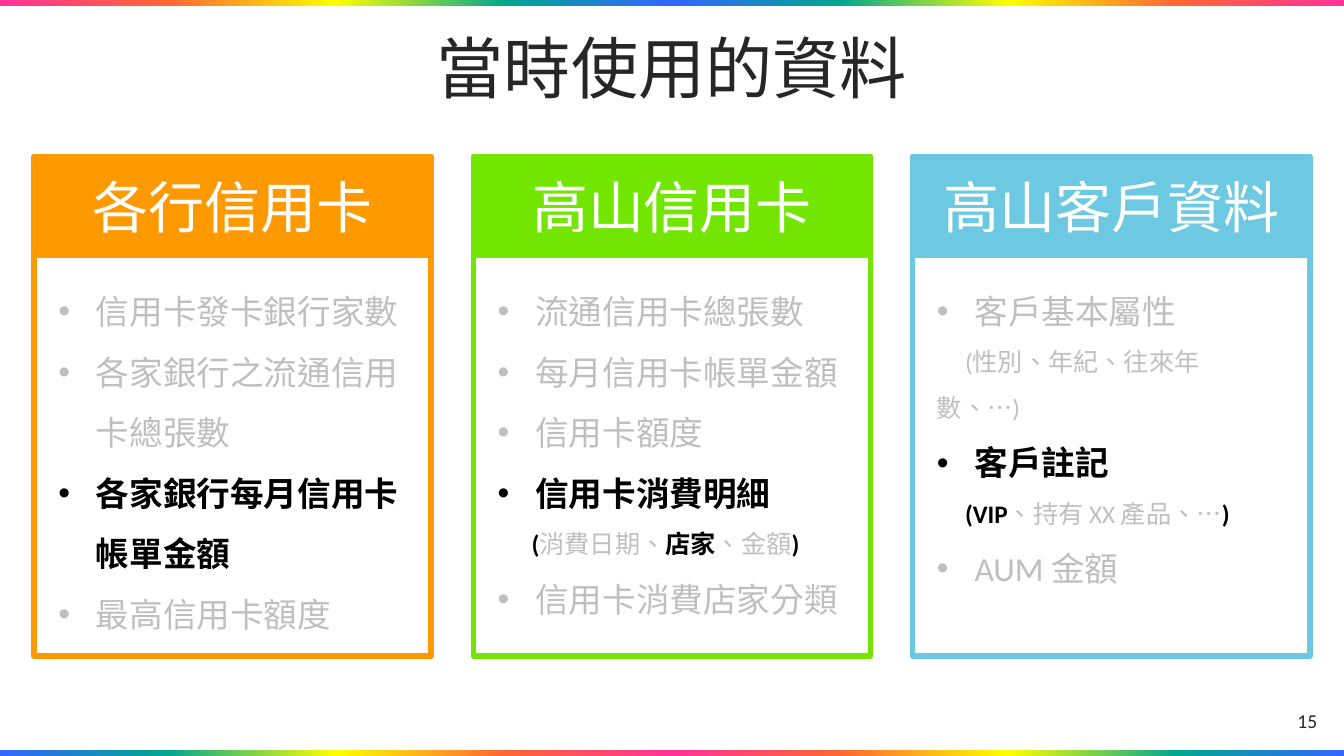
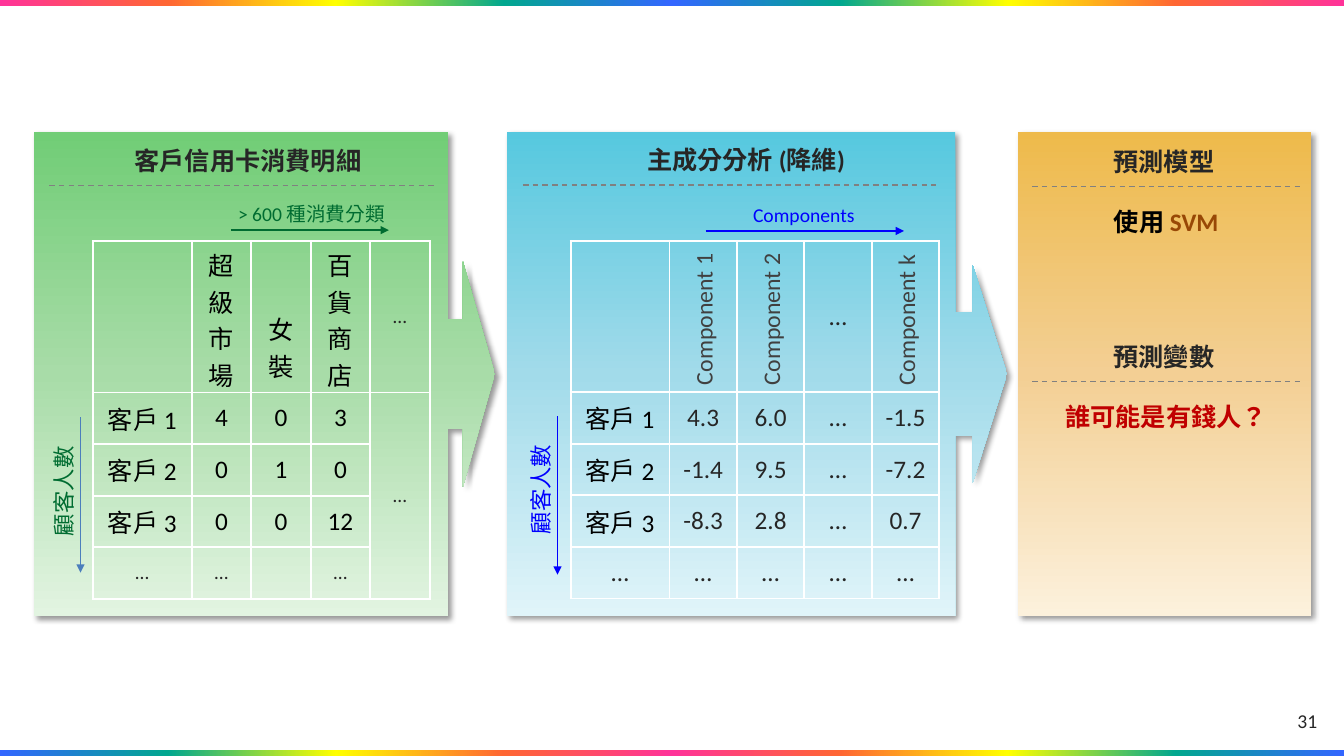
from dataclasses import dataclass
from itertools import product

from lxml import etree
from pptx import Presentation
from pptx.dml.color import RGBColor
from pptx.enum.dml import MSO_LINE
from pptx.enum.shapes import MSO_CONNECTOR, MSO_SHAPE
from pptx.enum.text import MSO_ANCHOR, MSO_AUTO_SIZE, PP_ALIGN
from pptx.oxml.ns import qn
from pptx.util import Cm, Pt

RECT, CALLOUT = MSO_SHAPE.RECTANGLE, MSO_SHAPE.RIGHT_ARROW_CALLOUT
STRAIGHT, DASH = MSO_CONNECTOR.STRAIGHT, MSO_LINE.DASH
TOP, MIDDLE, BOTTOM = MSO_ANCHOR.TOP, MSO_ANCHOR.MIDDLE, MSO_ANCHOR.BOTTOM
LEFT, CENTER = PP_ALIGN.LEFT, PP_ALIGN.CENTER
NO_AUTOFIT = MSO_AUTO_SIZE.NONE

LATIN, CJK = "Calibri", "Noto Sans CJK SC"
INK, BLACK, WHITE, MUTED = "262626", "000000", "FFFFFF", "BFBFBF"
GREEN, BLUE, RULE = "006C31", "0000FF", "808080"
RAINBOW = ("FF3399", "FF6633", "FFFF00", "01A78F", "3366FF")
WIDTH, HEIGHT, BAND = 33.87, 19.05, 0.15
LINE_PITCH = 1.8


@dataclass(frozen=True)
class Run:
    text: str
    color: str = MUTED
    bold: bool = False


@dataclass(frozen=True)
class Item:
    """A bulleted line, or a smaller note with a first-line indent."""
    runs: tuple[Run, ...]
    note_indent: float = 0


@dataclass(frozen=True)
class Card:
    heading: str
    color: str
    font: str
    items: tuple[Item, ...]


@dataclass(frozen=True)
class Panel:
    kind: int
    left: float
    width: float
    stops: tuple[str, ...]
    adjustments: tuple[float, ...] = ()


@dataclass(frozen=True)
class Heading:
    text: str
    center: float
    middle: float
    rule_left: float
    rule_right: float


@dataclass(frozen=True)
class Grid:
    left: float
    top: float
    value_width: float
    value_color: str
    dots_size: float
    rows: tuple[tuple[str, ...], ...]


@dataclass(frozen=True)
class Axis:
    start: tuple[float, float]
    end: tuple[float, float]
    line_color: str
    weight: float
    label: str
    label_center: tuple[float, float]
    label_color: str
    size: float
    rotation: float = 0


def muted(text: str) -> Item:
    return Item((Run(text),))


def strong(text: str) -> Item:
    return Item((Run(text, BLACK, True),))


LINE_BREAK = Run("\n")
CARDS = (
    Card("各行信用卡", "FF9900", CJK, (
        muted("信用卡發卡銀行家數"), muted("各家銀行之流通信用卡總張數"),
        strong("各家銀行每月信用卡帳單金額"), muted("最高信用卡額度"))),
    Card("高山信用卡", "73E600", LATIN, (
        muted("流通信用卡總張數"), muted("每月信用卡帳單金額"), muted("信用卡額度"),
        strong("信用卡消費明細"),
        Item((Run("(", BLACK, True), Run("消費日期、"), Run("店家", BLACK, True),
              Run("、金額"), Run(")", BLACK, True)), 0.86),
        muted("信用卡消費店家分類"))),
    Card("高山客戶資料", "6DC8E1", LATIN, (
        muted("客戶基本屬性"),
        Item((Run("(性別、年紀、往來年"), LINE_BREAK, Run("數、…)")), 0.71),
        strong("客戶註記"),
        Item((Run("(VIP", BLACK, True), Run("、持有 XX 產品、…"),
              Run(")", BLACK, True)), 0.71),
        muted("AUM 金額"))),
)
PANELS = (
    Panel(CALLOUT, 0.86, 11.61, ("71CD76", "A8DCA8", "E2F4E1"), (0.238, 0.244, 0.069, 0.898)),
    Panel(CALLOUT, 12.78, 12.6, ("56C8DF", "A2DBEA", "E0F4F9"), (0.256, 0.225, 0.071, 0.896)),
    Panel(RECT, 25.65, 7.39, ("EEBA4B", "F3CF94", "FCF1DC")),
)
HEADINGS = (
    Heading("客戶信用卡消費明細", 6.25, 4.04, 1.24, 10.95),
    Heading("主成分分析 (降維)", 18.8, 4.02, 13.18, 23.6),
    Heading("預測模型", 29.33, 4.06, 26.01, 32.82),
    Heading("預測變數", 29.33, 8.97, 26.01, 32.82),
)
SPENDING = Grid(2.34, 6.08, 1.5, BLACK, 14, (
    ("", "超\n級\n市\n場", "女\n裝", "百\n貨\n商\n店", "…"),
    ("客戶 1", "4", "0", "3", "…"),
    ("客戶 2", "0", "1", "0", ""),
    ("客戶 3", "0", "0", "12", ""),
    ("…", "…", "", "…", ""),
))
COMPONENTS = Grid(14.38, 6.07, 1.7, INK, 18, (
    ("", "", "", "…", ""),
    ("客戶 1", "4.3", "6.0", "…", "-1.5"),
    ("客戶 2", "-1.4", "9.5", "…", "-7.2"),
    ("客戶 3", "-8.3", "2.8", "…", "0.7"),
    ("…",) * 5,
))
LABEL_WIDTH, HEADER_HEIGHT, ROW_HEIGHT = 2.49, 3.81, 1.3
AXES = (
    Axis((2.03, 10.52), (2.03, 14.43), "4B7EBC", 1.25, "顧客人數", (1.61, 12.38), GREEN, 16, 270),
    Axis((5.82, 5.8), (9.8, 5.8), GREEN, 1, "> 600 種消費分類", (7.85, 5.38), GREEN, 14),
    Axis((14.05, 10.49), (14.05, 14.48), BLUE, 1.25, "顧客人數", (13.63, 12.33), BLUE, 16, 270),
    Axis((17.78, 5.82), (22.78, 5.82), BLUE, 1, "Components", (20.26, 5.41), BLUE, 14),
)


def rgb(color: str) -> RGBColor:
    return RGBColor.from_string(color)


def apply(target, **values) -> None:
    for name, value in values.items():
        setattr(target, name, value)


def add_xml(parent, tag: str, **attributes):
    return etree.SubElement(parent, qn(tag), {k: str(v) for k, v in attributes.items()})


def write(paragraph, runs, size: float, align=CENTER, font: str = LATIN) -> None:
    paragraph.alignment = align
    for part in runs:
        if part is LINE_BREAK:
            paragraph.add_line_break()
            continue
        run = paragraph.add_run()
        run.text = part.text
        apply(run.font, name=font, size=Pt(size), bold=part.bold)
        run.font.color.rgb = rgb(part.color)
        properties = run.font._element
        properties.set("lang", "zh-TW")
        add_xml(properties, "a:ea", typeface=CJK)


def add_box(slide, kind, left, top, width, height):
    box = slide.shapes.add_shape(kind, Cm(left), Cm(top), Cm(width), Cm(height))
    box.shadow.inherit = False
    box.line.fill.background()
    return box


def fill_gradient(shape, stops, angle: int) -> None:
    shape.fill.gradient()
    gradient = shape.element.spPr.find(qn("a:gradFill"))
    stop_list = gradient.find(qn("a:gsLst"))
    for stop in list(stop_list):
        stop_list.remove(stop)
    for i, color in enumerate(stops):
        stop = add_xml(stop_list, "a:gs", pos=100000 * i // (len(stops) - 1))
        add_xml(stop, "a:srgbClr", val=color)
    gradient.find(qn("a:lin")).set("ang", str(angle * 60000))


def add_text(slide, center, size_cm, runs, size, align=CENTER, rotation=0) -> None:
    """Place a text box by its centre, which stays put when rotated."""
    (x, y), (width, height) = center, size_cm
    box = slide.shapes.add_textbox(Cm(x - width / 2), Cm(y - height / 2), Cm(width), Cm(height))
    box.rotation = rotation
    apply(box.text_frame, word_wrap=True, vertical_anchor=MIDDLE)
    write(box.text_frame.paragraphs[0], runs, size, align)


def add_line(slide, start, end, color, weight, dashed=False, arrow=False) -> None:
    line = slide.shapes.add_connector(STRAIGHT, *(Cm(v) for v in (*start, *end)))
    line.line.color.rgb = rgb(color)
    line.line.width = Pt(weight)
    if dashed:
        line.line.dash_style = DASH
    if arrow:
        add_xml(line.line._get_or_add_ln(), "a:tailEnd", type="triangle")
    add_xml(line.element.spPr, "a:effectLst")


def add_master_bands(prs, slide) -> None:
    """Draw the rainbow bands and move them to the slide master."""
    half = WIDTH / 2
    for left, top in product((0, half), (0, HEIGHT - BAND)):
        band = add_box(slide, RECT, left, top, half, BAND)
        fill_gradient(band, RAINBOW, 0)
        band.rotation = 180 if (left > 0) != (top > 0) else 0
        prs.slide_master.element.cSld.spTree.append(band.element)


def add_page_number(slide, number: str) -> None:
    add_text(slide, (32.95, 18.16), (1.55, 1.02), [Run(number, INK)], 14)


def add_title(slide, text: str) -> None:
    title = slide.shapes.title
    apply(title, left=Cm(1.3), top=Cm(0.71), width=Cm(31.27), height=Cm(1.96))
    apply(title.text_frame, word_wrap=True, auto_size=NO_AUTOFIT, vertical_anchor=MIDDLE)
    write(title.text_frame.paragraphs[0], [Run(text, INK)], 48)


def add_item(paragraph, item: Item, font: str) -> None:
    size = 18 if item.note_indent else 24
    paragraph.line_spacing = Pt(size * LINE_PITCH)
    write(paragraph, item.runs, size, LEFT, font)
    properties = paragraph._p.get_or_add_pPr()
    hanging = 0 if item.note_indent else 0.95
    properties.set("marL", str(Cm(hanging)))
    properties.set("indent", str(Cm(item.note_indent - hanging)))
    if hanging:
        add_xml(properties, "a:buFont", typeface="Arial")
        add_xml(properties, "a:buChar", char="•")


def add_card(slide, card: Card, left: float) -> None:
    head = add_box(slide, RECT, left, 3.94, 10.01, 2.49)
    body = add_box(slide, RECT, left, 6.32, 10.01, 10.21)
    head.fill.solid()
    head.fill.fore_color.rgb = rgb(card.color)
    body.fill.background()
    for box in (head, body):
        box.line.color.rgb = rgb(card.color)
        box.line.width = Pt(4)
    apply(head.text_frame, word_wrap=True, vertical_anchor=MIDDLE)
    write(head.text_frame.paragraphs[0], [Run(card.heading, WHITE)], 40, font=CJK)
    frame = body.text_frame
    apply(frame, word_wrap=True, vertical_anchor=TOP, margin_left=Cm(0.61),
          margin_right=Cm(0.61), margin_top=Cm(0.51))
    for i, item in enumerate(card.items):
        add_item(frame.add_paragraph() if i else frame.paragraphs[0], item, card.font)


def add_panel(slide, panel: Panel) -> None:
    box = add_box(slide, panel.kind, panel.left, 3.33, panel.width, 12.19)
    for i, value in enumerate(panel.adjustments):
        box.adjustments[i] = value
    fill_gradient(box, panel.stops, 90)
    shadow = add_xml(box.element.spPr.find(qn("a:effectLst")), "a:outerShdw",
                     blurRad=Pt(4), dist=Pt(3), dir=45 * 60000, algn="tl", rotWithShape=0)
    add_xml(add_xml(shadow, "a:srgbClr", val=BLACK), "a:alpha", val=40000)


def format_cell(cell) -> None:
    cell.fill.background()
    apply(cell, vertical_anchor=MIDDLE, margin_left=Cm(0.1), margin_right=Cm(0.1),
          margin_top=0, margin_bottom=0)
    properties = cell._tc.get_or_add_tcPr()
    for i, side in enumerate(("a:lnL", "a:lnR", "a:lnT", "a:lnB")):
        border = add_xml(properties, side, w=Pt(1.5))
        add_xml(add_xml(border, "a:solidFill"), "a:srgbClr", val=WHITE)
        properties.insert(i, border)


def add_grid(slide, grid: Grid):
    widths = [LABEL_WIDTH] + [grid.value_width] * 4
    heights = [HEADER_HEIGHT] + [ROW_HEIGHT] * 4
    table = slide.shapes.add_table(5, 5, Cm(grid.left), Cm(grid.top),
                                   Cm(sum(widths)), Cm(sum(heights))).table
    apply(table, first_row=False, horz_banding=False)
    for i, (width, height) in enumerate(zip(widths, heights)):
        table.columns[i].width = Cm(width)
        table.rows[i].height = Cm(height)
    for r, c in product(range(5), repeat=2):
        cell, text = table.cell(r, c), grid.rows[r][c]
        format_cell(cell)
        if not text:
            continue
        lines = text.split("\n")
        if len(lines) > 1:
            apply(cell, vertical_anchor=BOTTOM, margin_bottom=Cm(0.23 if len(lines) < 4 else 0))
        dots = text == "…"
        color = INK if dots else BLACK if c == 0 else grid.value_color
        frame = cell.text_frame
        for i, line in enumerate(lines):
            paragraph = frame.add_paragraph() if i else frame.paragraphs[0]
            write(paragraph, [Run(line, color)], grid.dots_size if dots else 18)
    return table


def build_data_slide(slide) -> None:
    add_title(slide, "當時使用的資料")
    add_page_number(slide, "15")
    for i, card in enumerate(CARDS):
        add_card(slide, card, 0.86 + i * 11.07)


def build_model_slide(slide) -> None:
    add_page_number(slide, "31")
    for panel in PANELS:
        add_panel(slide, panel)
    for h in HEADINGS:
        add_text(slide, (h.center, h.middle), (6.4, 1.02), [Run(h.text, INK, True)], 18)
        rule_y = h.middle + 0.64
        add_line(slide, (h.rule_left, rule_y), (h.rule_right, rule_y), RULE, 1, dashed=True)
    spending = add_grid(slide, SPENDING)
    spending.cell(1, 4).merge(spending.cell(4, 4))
    add_grid(slide, COMPONENTS)
    for column, name in ((0, "1"), (1, "2"), (3, "k")):
        x = COMPONENTS.left + LABEL_WIDTH + COMPONENTS.value_width * (column + 0.5)
        add_text(slide, (x, 7.96), (3.99, 0.99), [Run(f"Component {name}", "404040")], 17, LEFT, 270)
    for axis in AXES:
        add_line(slide, axis.start, axis.end, axis.line_color, axis.weight, arrow=True)
        add_text(slide, axis.label_center, (6 if axis.rotation == 0 else 3.94, 0.94),
                 [Run(axis.label, axis.label_color)], axis.size, rotation=axis.rotation)
    add_text(slide, (29.39, 5.59), (7, 1.22),
             [Run("使用 ", BLACK, True), Run("SVM", "984806", True)], 18)
    add_text(slide, (29.39, 10.5), (7, 1.5), [Run("誰可能是有錢人？", "C00000", True)], 18)


def main() -> None:
    prs = Presentation()
    apply(prs, slide_width=Cm(WIDTH), slide_height=Cm(HEIGHT))
    title_only, blank = prs.slide_layouts[5], prs.slide_layouts[6]
    data_slide = prs.slides.add_slide(title_only)
    add_master_bands(prs, data_slide)
    build_data_slide(data_slide)
    build_model_slide(prs.slides.add_slide(blank))
    prs.save("out.pptx")


if __name__ == "__main__":
    main()
